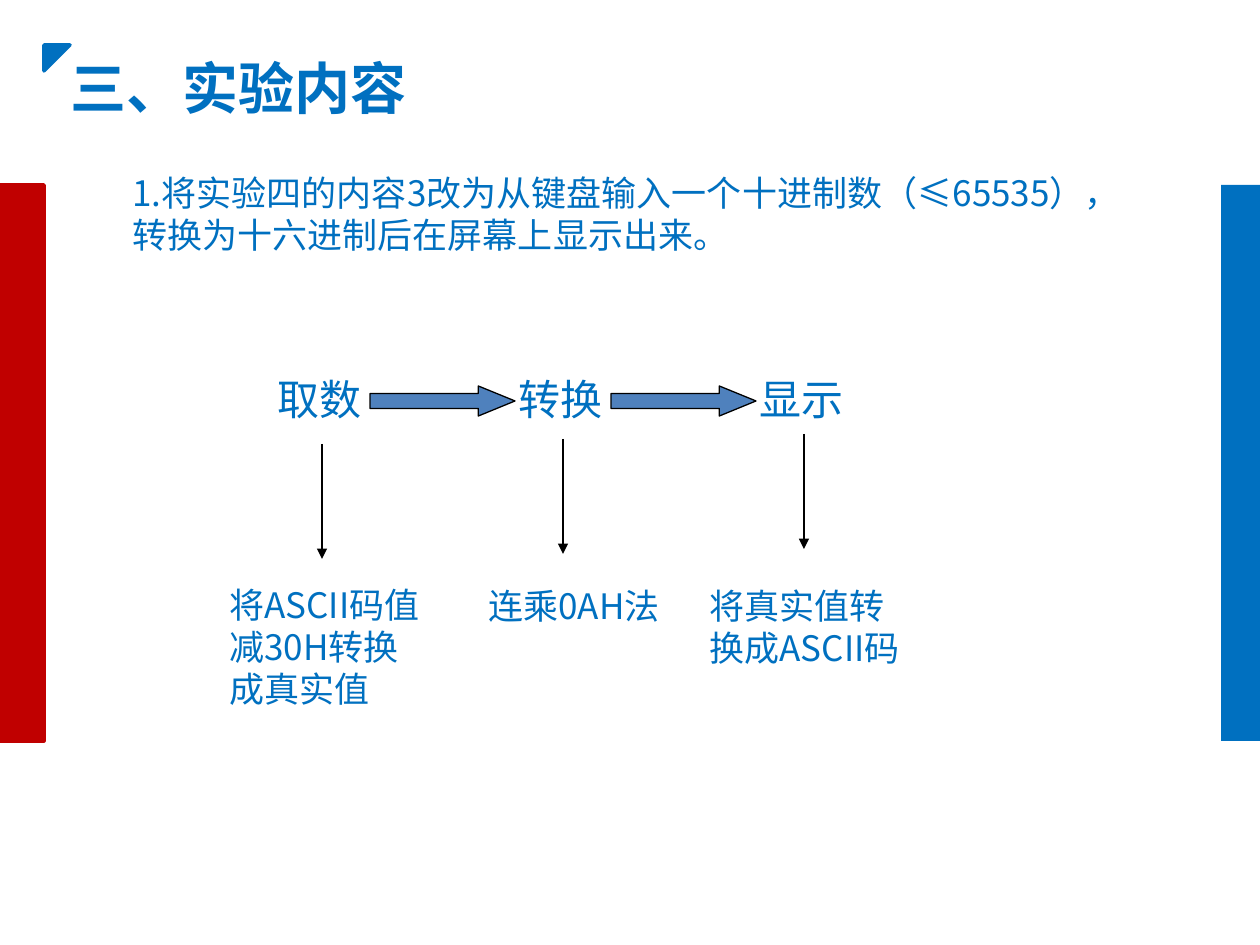
import pptx
import pptx.util
from pptx.dml.color import RGBColor
from pptx.enum.shapes import MSO_CONNECTOR, MSO_SHAPE
from pptx.enum.text import MSO_ANCHOR, PP_ALIGN
from pptx.oxml.ns import qn
from lxml import etree

PX = 914400 / 126
THEME = {
    "font": "Noto Sans CJK SC",
    "blue": RGBColor(0x00, 0x70, 0xC0),
    "red": RGBColor(0xC0, 0x00, 0x00),
    "arrow": RGBColor(0x4F, 0x81, 0xBD),
    "black": RGBColor(0, 0, 0),
    "title": 32, "step": 24, "body": 20,
}

TITLE = "三、实验内容"
TASK = "1.将实验四的内容3改为从键盘输入一个十进制数（≤65535），转换为十六进制后在屏幕上显示出来。"
# step, top of its down arrow, detail, detail box (left, top, width, height)
STEPS = [
    ("取数", 444, "将ASCII码值减30H转换成真实值", (217, 577, 222, 139)),
    ("转换", 439, "连乘0AH法", (476, 578, 213, 97)),
    ("显示", 434, "将真实值转换成ASCII码", (697, 578, 222, 139)),
]
STEP_LEFT, STEP_TOP, STEP_PITCH = 265, 367, 241
STEP_W, STEP_H = 126, 63
DOWN_OFFSET, DOWN_LENGTH = 57, 115
FLOW_OFFSET, FLOW_TOP, FLOW_W, FLOW_H = 105, 386, 145, 30


def emu(*lengths):
    return [round(n * PX) for n in lengths]


def write(sp, text, size, bold=False, wrap=True):
    tf = sp.text_frame
    tf.word_wrap = wrap
    tf.vertical_anchor = MSO_ANCHOR.TOP
    p = tf.paragraphs[0]
    p.text = text
    p.alignment = PP_ALIGN.LEFT
    p.font.name = THEME["font"]
    p.font.size = pptx.util.Pt(size)
    p.font.bold = bold
    p.font.color.rgb = THEME["blue"]
    # Chinese characters take the East Asian typeface
    latin = p._p.pPr.find(qn("a:defRPr")).find(qn("a:latin"))
    ea = etree.Element(qn("a:ea"), typeface=THEME["font"])
    latin.addnext(ea)


def add_text(slide, box, text, size):
    write(slide.shapes.add_textbox(*emu(*box)), text, size)


def add_block(slide, kind, box, fill, line=None, width=2):
    sp = slide.shapes.add_shape(kind, *emu(*box))
    sp.shadow.inherit = False
    sp.fill.solid()
    sp.fill.fore_color.rgb = fill
    if line is None:
        sp.line.fill.background()
    else:
        sp.line.color.rgb = line
        sp.line.width = pptx.util.Pt(width)
    return sp


def add_down_arrow(slide, x, top):
    line = slide.shapes.add_connector(
        MSO_CONNECTOR.STRAIGHT, *emu(x, top, x, top + DOWN_LENGTH))
    line.line.color.rgb = THEME["black"]
    line.line.width = pptx.util.Pt(0.75)
    etree.SubElement(line.line._get_or_add_ln(), qn("a:tailEnd"), type="triangle")
    etree.SubElement(line._element.spPr, qn("a:effectLst"))


def main():
    prs = pptx.Presentation()
    prs.slide_width, prs.slide_height = emu(1260, 945)
    slide = prs.slides.add_slide(prs.slide_layouts[5])
    blue, red = THEME["blue"], THEME["red"]

    add_block(slide, MSO_SHAPE.RECTANGLE, (0, 185, 44, 556), red, red)
    add_block(slide, MSO_SHAPE.RECTANGLE, (1221, 185, 44, 556), blue)
    corner = add_block(slide, MSO_SHAPE.RIGHT_TRIANGLE, (44, 45, 26, 26), blue, blue)
    corner.rotation = 90

    title = slide.shapes.title
    title.left, title.top, title.width, title.height = emu(58, 47, 362, 81)
    write(title, TITLE, THEME["title"], bold=True, wrap=False)
    add_text(slide, (120, 165, 1021, 97), TASK, THEME["body"])

    for i, (step, down_top, detail, detail_box) in enumerate(STEPS):
        left = STEP_LEFT + i * STEP_PITCH
        add_text(slide, (left, STEP_TOP, STEP_W, STEP_H), step, THEME["step"])
        if i < len(STEPS) - 1:
            flow = add_block(slide, MSO_SHAPE.RIGHT_ARROW,
                             (left + FLOW_OFFSET, FLOW_TOP, FLOW_W, FLOW_H),
                             THEME["arrow"], THEME["black"], 0.75)
            flow.adjustments[1] = 1.22
        add_down_arrow(slide, left + DOWN_OFFSET, down_top)
        add_text(slide, detail_box, detail, THEME["body"])

    prs.save("out.pptx")


if __name__ == "__main__":
    main()
